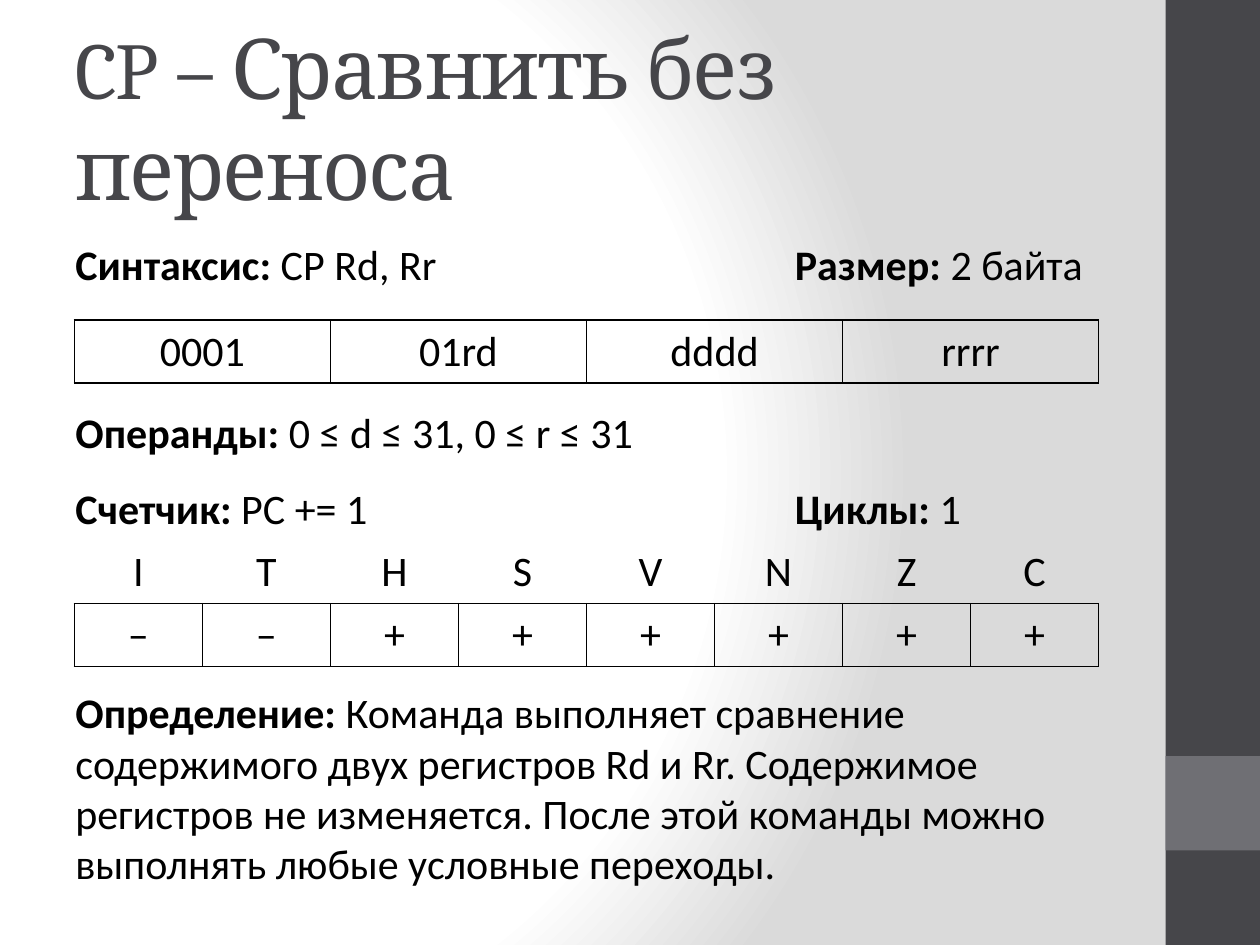
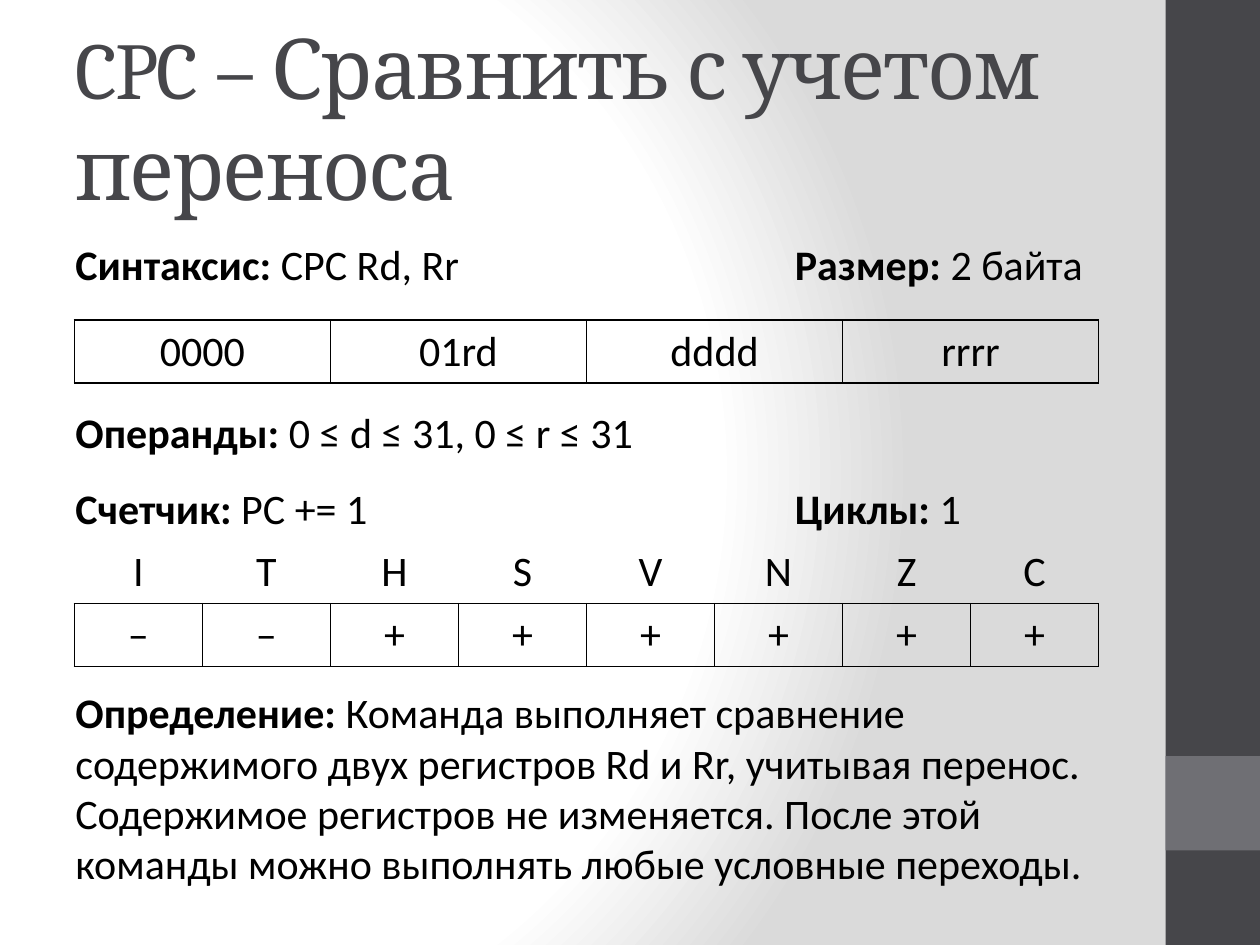
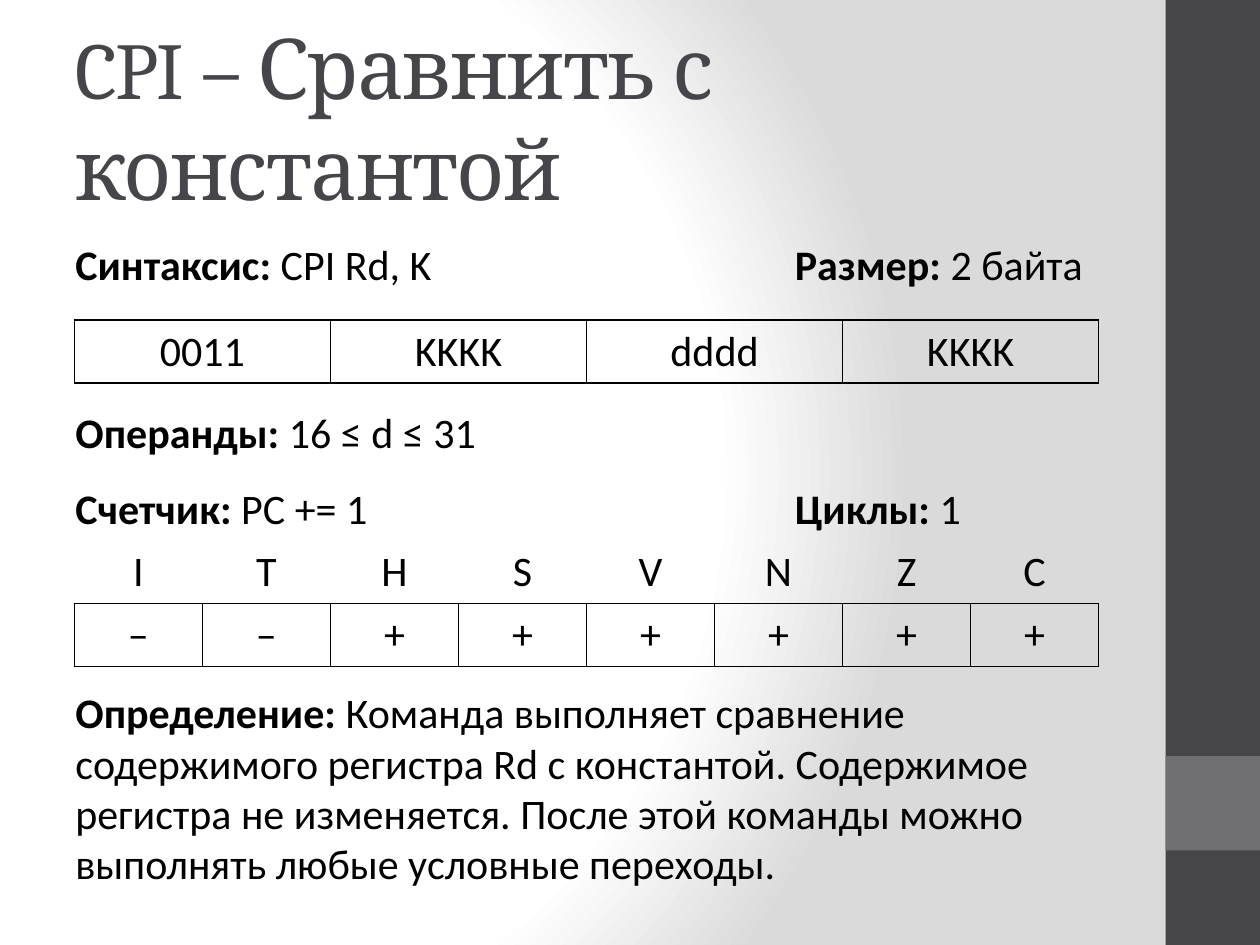
import pptx
import pptx.util
import pptx.dml.color
import pptx.enum.shapes
import pptx.enum.text
import pptx.oxml
import pptx.oxml.ns
from dataclasses import dataclass

Inches = pptx.util.Inches


@dataclass
class Theme:
    heading_font: str = "Cambria"
    body_font: str = "Calibri"
    dark: str = "46464A"
    accent: str = "6F6F74"
    ink: str = "000000"
    light: str = "FFFFFF"
    shade: str = "DADADA"
    code_size: int = 46
    title_size: int = 48
    body_size: int = 24


theme = Theme()
namespaces = pptx.oxml.ns.nsdecls("a")
plain_table_style = "{2D5ABB26-0587-4C30-8999-92F81FD0307C}"

commands = [
    {
        "code": "CP",
        "title": "Сравнить без переноса",
        "syntax": "CP Rd, Rr",
        "syntax_width": 3.1,
        "opcode": ["0001", "01rd", "dddd", "rrrr"],
        "operands": "0 ≤ d ≤ 31, 0 ≤ r ≤ 31",
        "definition": "Команда выполняет сравнение содержимого двух регистров Rd и Rr. "
        "Содержимое регистров не изменяется. "
        "После этой команды можно выполнять любые условные переходы.",
    },
    {
        "code": "CPC",
        "title": "Сравнить с учетом переноса",
        "syntax": "CPC Rd, Rr",
        "syntax_width": 3.28,
        "opcode": ["0000", "01rd", "dddd", "rrrr"],
        "operands": "0 ≤ d ≤ 31, 0 ≤ r ≤ 31",
        "definition": "Команда выполняет сравнение содержимого двух регистров Rd и Rr, "
        "учитывая перенос. Содержимое регистров не изменяется. "
        "После этой команды можно выполнять любые условные переходы.",
    },
    {
        "code": "CPI",
        "title": "Сравнить с константой",
        "syntax": "CPI Rd, K",
        "syntax_width": 3.06,
        "opcode": ["0011", "KKKK", "dddd", "KKKK"],
        "operands": "16 ≤ d ≤ 31",
        "definition": "Команда выполняет сравнение содержимого регистра Rd с константой. "
        "Содержимое регистра не изменяется. "
        "После этой команды можно выполнять любые условные переходы.",
    },
]
flags = [list("ITHSVNZC"), list("––++++++")]


def add_span(para, text, color=theme.ink, **formats):
    span = para.add_run()
    span.text = text
    values = {"name": theme.body_font, "size": pptx.util.Pt(theme.body_size), "bold": False}
    values.update(formats)
    for name, value in values.items():
        setattr(span.font, name, value)
    span.font.color.rgb = pptx.dml.color.RGBColor.from_string(color)
    return span


def add_grid(page, rows, top, bordered_row):
    frame = page.shapes.add_table(
        len(rows), len(rows[0]), Inches(0.59), Inches(top), Inches(8.13), Inches(0.5 * len(rows))
    )
    table = frame.table
    table.first_row = False
    table.horz_banding = False
    frame.element.find(".//" + pptx.oxml.ns.qn("a:tableStyleId")).text = plain_table_style
    for row, texts in enumerate(rows):
        for column, text in enumerate(texts):
            cell = table.cell(row, column)
            para = cell.text_frame.paragraphs[0]
            para.alignment = pptx.enum.text.PP_ALIGN.CENTER
            add_span(para, text)
            sides = ["L", "R", "T", "B"] if row == bordered_row else ["B"]
            properties = cell._tc.get_or_add_tcPr()
            for side in sides:
                properties.append(pptx.oxml.parse_xml(
                    f'<a:ln{side} {namespaces} w="12700"><a:solidFill>'
                    f'<a:srgbClr val="{theme.ink}"/></a:solidFill></a:ln{side}>'
                ))
            cell.fill.background()


deck = pptx.Presentation()
deck.slide_width = Inches(10)
deck.slide_height = Inches(7.5)
master = deck.slide_master
layout = deck.slide_layouts.get_by_name("Title Only")

master.background.fill.gradient()
gradient = master.element.find(".//" + pptx.oxml.ns.qn("a:gradFill"))
stops = "".join(
    f'<a:gs pos="{position * 1000}"><a:srgbClr val="{color}"/></a:gs>'
    for position, color in [(0, theme.light), (75, theme.light), (100, theme.shade)]
)
gradient.getparent().replace(gradient, pptx.oxml.parse_xml(
    f'<a:gradFill {namespaces} rotWithShape="1"><a:gsLst>{stops}</a:gsLst><a:path path="circle">'
    '<a:fillToRect l="20000" t="50000" r="100000" b="50000"/></a:path></a:gradFill>'
))

for number, command in enumerate(commands):
    page = deck.slides.add_slide(layout)

    if number == 0:
        for top, height, color in [(0, 7.5, theme.dark), (6, 0.75, theme.accent)]:
            band = page.shapes.add_shape(
                pptx.enum.shapes.MSO_SHAPE.RECTANGLE,
                Inches(9.25), Inches(top), Inches(0.75), Inches(height),
            )
            band.shadow.inherit = False
            band.fill.solid()
            band.fill.fore_color.rgb = pptx.dml.color.RGBColor.from_string(color)
            band.line.fill.background()
            master.shapes.element.append(band.element)

    title = page.shapes.title
    place = {"left": 0.5, "top": 0.3, "width": 8.33, "height": 1.25}
    for name, value in place.items():
        setattr(title, name, Inches(value))
    frame_format = {
        "word_wrap": True,
        "auto_size": pptx.enum.text.MSO_AUTO_SIZE.NONE,
        "vertical_anchor": pptx.enum.text.MSO_ANCHOR.MIDDLE,
    }
    for name, value in frame_format.items():
        setattr(title.text_frame, name, value)
    para = title.text_frame.paragraphs[0]
    para.alignment = pptx.enum.text.PP_ALIGN.LEFT
    title_spans = [
        (command["code"] + " ", theme.code_size),
        ("– " + command["title"], theme.title_size),
    ]
    for text, size in title_spans:
        span = add_span(para, text, theme.dark, name=theme.heading_font, size=pptx.util.Pt(size))
        span.font._element.set("spc", "-100")

    fields = [
        ("Определение", command["definition"], 0.5, 5.4, 8.33, 1.72, True),
        ("Синтаксис", command["syntax"], 0.5, 1.84, command["syntax_width"], 0.5, False),
        ("Размер", "2 байта", 6.21, 1.84, 2.51, 0.5, False),
        ("Операнды", command["operands"], 0.5, 3.18, 8.33, 0.5, True),
        ("Счетчик", "PC += 1", 0.5, 3.78, 2.54, 0.5, False),
        ("Циклы", "1", 6.21, 3.78, 1.53, 0.5, False),
    ]
    for label, text, left, top, width, height, wrap in fields:
        box = page.shapes.add_textbox(Inches(left), Inches(top), Inches(width), Inches(height))
        box.text_frame.word_wrap = wrap
        box.text_frame.auto_size = pptx.enum.text.MSO_AUTO_SIZE.SHAPE_TO_FIT_TEXT
        para = box.text_frame.paragraphs[0]
        add_span(para, label + ": ", bold=True)
        add_span(para, text)

    add_grid(page, [command["opcode"]], 2.54, 0)
    add_grid(page, flags, 4.29, 1)

deck.save("out.pptx")
